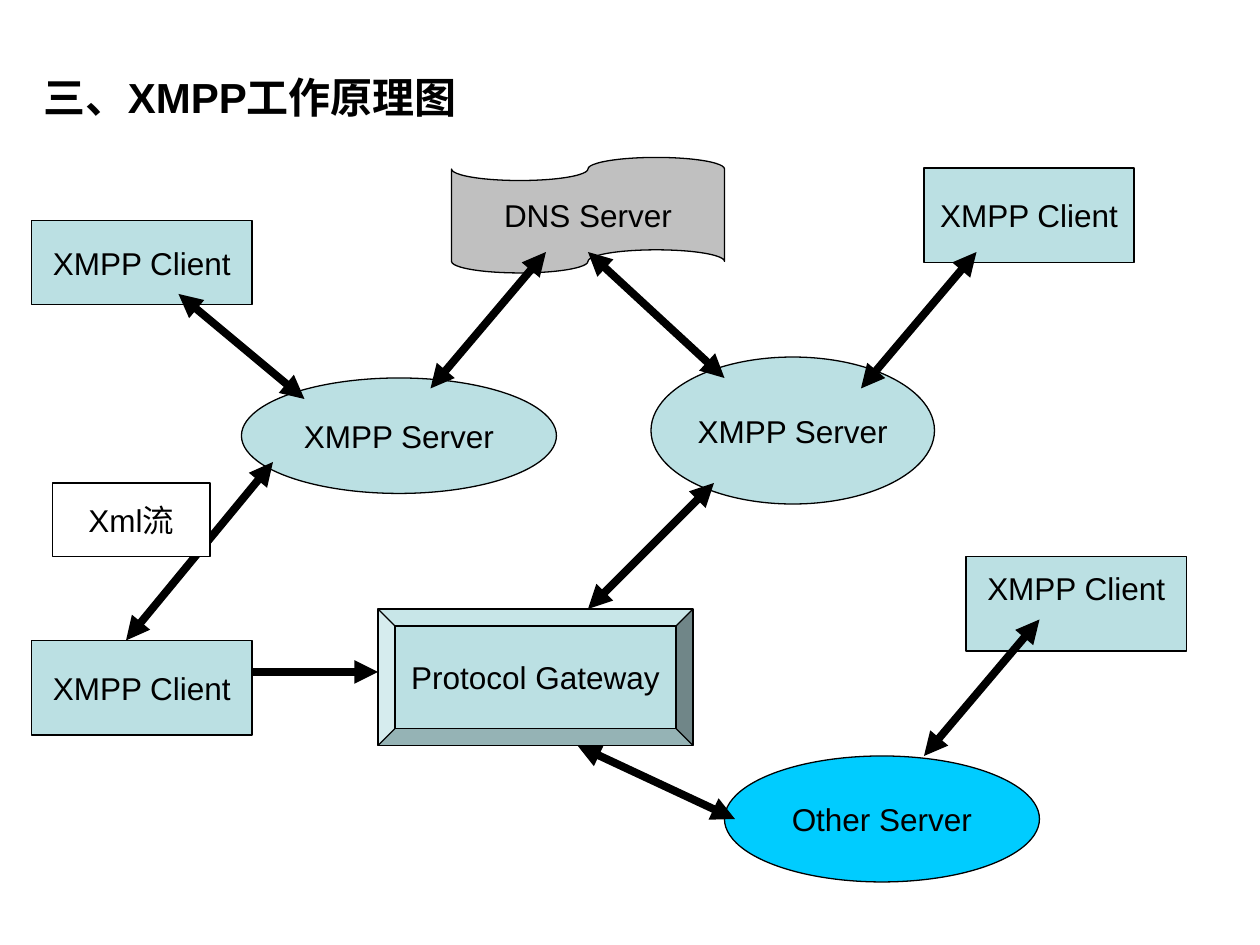
from dataclasses import dataclass

import pptx
import pptx.dml.color
import pptx.enum.shapes
import pptx.enum.text
import pptx.oxml
import pptx.oxml.ns
import pptx.util

SCALE = 914400 // 120
SHAPE = pptx.enum.shapes.MSO_SHAPE
ANCHOR = pptx.enum.text.MSO_ANCHOR
ALIGN = pptx.enum.text.PP_ALIGN
BLACK = "000000"
TEAL = "BBE0E3"


@dataclass(frozen=True)
class Node:
    label: str
    left: int
    top: int
    width: int
    height: int
    kind: SHAPE = SHAPE.RECTANGLE
    fill: str = TEAL
    anchor: ANCHOR = ANCHOR.MIDDLE
    inset_top: int = 6


@dataclass(frozen=True)
class Link:
    start_x: int
    start_y: int
    end_x: int
    end_y: int
    two_way: bool = True


BACK_NODES = [
    Node("XMPP Client", 30, 210, 210, 80),
    Node("XMPP Client", 30, 610, 210, 90),
    Node("XMPP Server", 230, 360, 300, 110, SHAPE.OVAL),
    Node("DNS Server", 430, 150, 260, 110, SHAPE.FLOWCHART_PUNCHED_TAPE, "C0C0C0"),
    Node("XMPP Server", 620, 340, 270, 140, SHAPE.OVAL),
    Node("Other Server", 690, 720, 300, 120, SHAPE.OVAL, "00CCFF"),
    Node("XMPP Client", 920, 530, 210, 90, anchor=ANCHOR.TOP, inset_top=12),
    Node("XMPP Client", 880, 160, 200, 90),
]
LINKS = [
    Link(260, 440, 120, 610),
    Link(170, 280, 290, 380),
    Link(680, 460, 560, 580),
    Link(930, 240, 820, 370),
    Link(560, 240, 690, 360),
    Link(520, 240, 410, 370),
    Link(700, 780, 550, 710),
    Link(990, 590, 880, 720),
    Link(240, 640, 360, 640, two_way=False),
]
FRONT_NODES = [
    Node("Xml流", 50, 460, 150, 70, fill="FFFFFF"),
    Node("Protocol Gateway", 360, 580, 300, 130, SHAPE.BEVEL),
]


def px(length: int) -> int:
    return pptx.util.Emu(length * SCALE)


def color(value: str):
    return pptx.dml.color.RGBColor.from_string(value)


def write(shape, text: str, *, size: int = 18, bold: bool = False, align=ALIGN.CENTER,
          anchor=ANCHOR.MIDDLE, wrap: bool = False, inset_top: int = 6) -> None:
    frame = shape.text_frame
    frame.word_wrap = wrap
    frame.vertical_anchor = anchor
    frame.margin_left = frame.margin_right = px(12)
    frame.margin_top, frame.margin_bottom = px(inset_top), px(6)
    para = frame.paragraphs[0]
    para.alignment = align
    span = para.add_run()
    span.text = text
    span.font.name = "Arial"
    span.font.size = pptx.util.Pt(size)
    span.font.bold = bold
    span.font.color.rgb = color(BLACK)


def draw_node(page, node: Node) -> None:
    box = page.shapes.add_shape(
        node.kind, px(node.left), px(node.top), px(node.width), px(node.height))
    box.shadow.inherit = False
    box.fill.solid()
    box.fill.fore_color.rgb = color(node.fill)
    box.line.color.rgb = color(BLACK)
    box.line.width = pptx.util.Pt(0.75)
    write(box, node.label, anchor=node.anchor, inset_top=node.inset_top)


def draw_link(page, link: Link) -> None:
    arrow = page.shapes.add_connector(
        pptx.enum.shapes.MSO_CONNECTOR.STRAIGHT,
        px(link.start_x), px(link.start_y), px(link.end_x), px(link.end_y))
    arrow.line.color.rgb = color(BLACK)
    arrow.line.width = pptx.util.Pt(4.5)
    line = arrow.line._get_or_add_ln()
    for end in ["headEnd", "tailEnd"] if link.two_way else ["tailEnd"]:
        tip = pptx.oxml.xmlchemy.OxmlElement(f"a:{end}")
        tip.set("type", "triangle")
        line.append(tip)
    arrow._element.spPr.append(pptx.oxml.xmlchemy.OxmlElement("a:effectLst"))


def main() -> None:
    deck = pptx.Presentation()
    deck.slide_width, deck.slide_height = px(1200), px(900)
    page = deck.slides.add_slide(deck.slide_layouts[6])
    for node in BACK_NODES:
        draw_node(page, node)
    for link in LINKS:
        draw_link(page, link)
    title = page.shapes.add_textbox(px(30), px(50), px(1080), px(84))
    write(title, "三、XMPP工作原理图", size=24, bold=True, align=ALIGN.LEFT, wrap=True)
    for node in FRONT_NODES:
        draw_node(page, node)
    deck.save("out.pptx")


if __name__ == "__main__":
    main()
